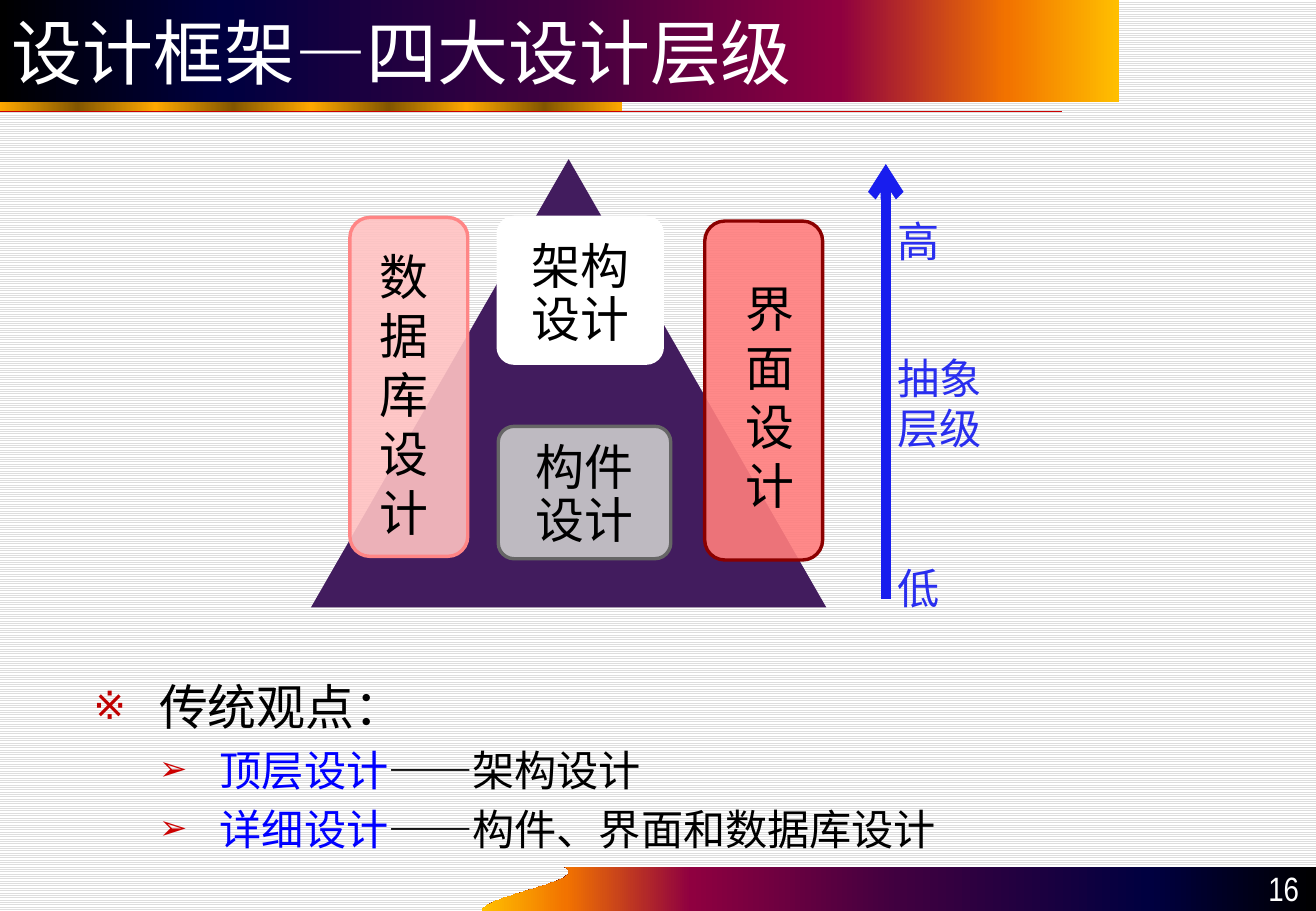
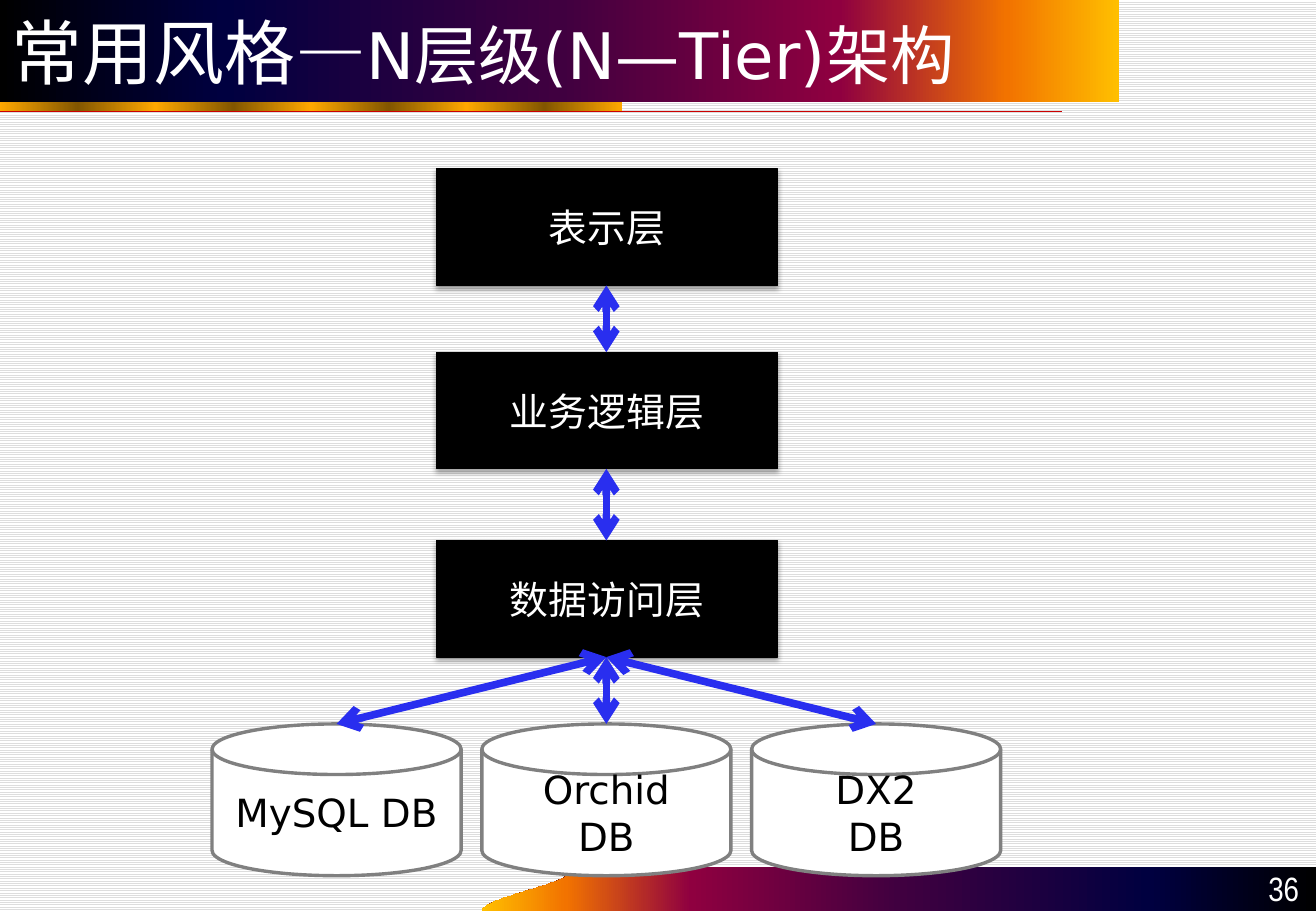
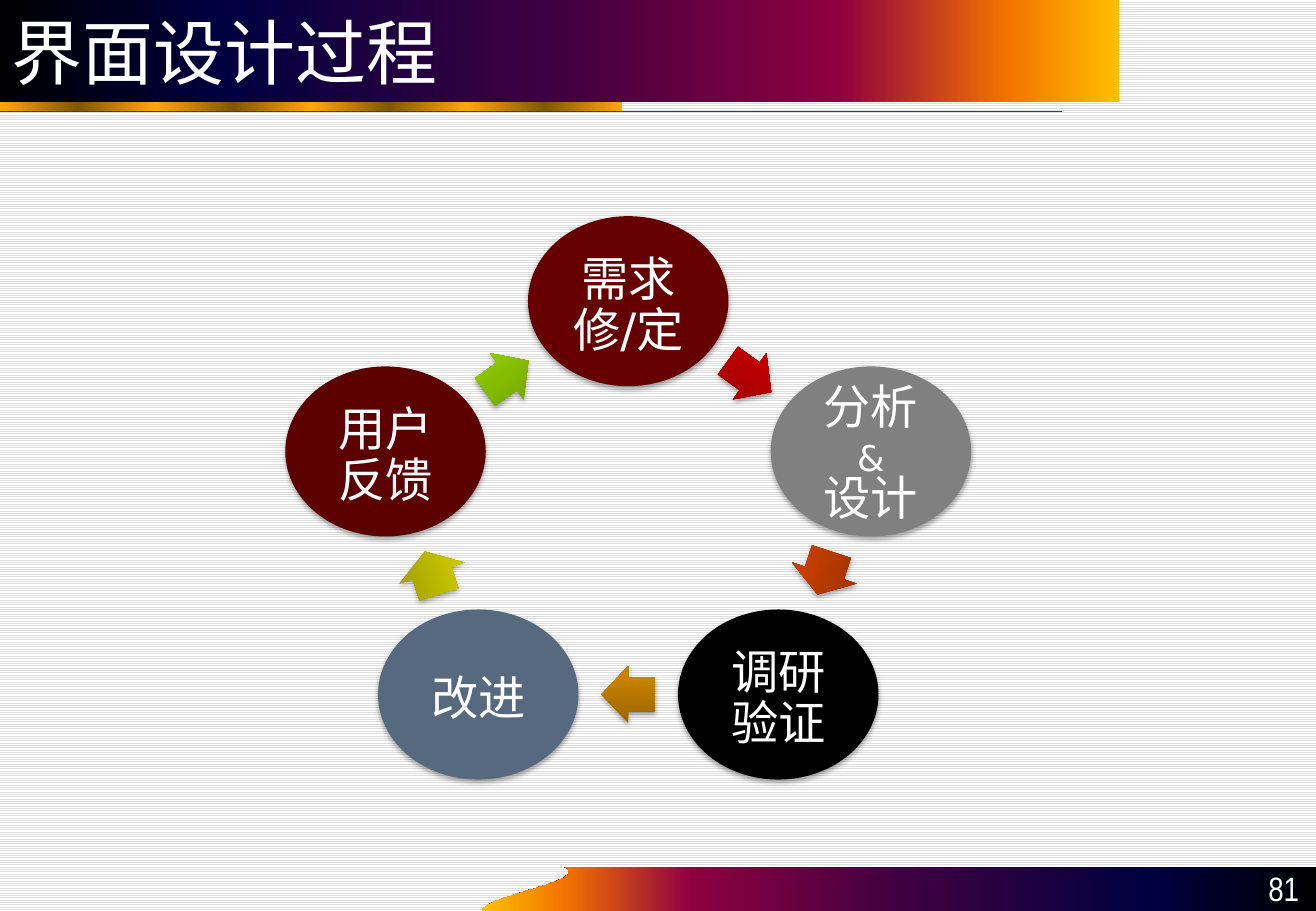
import math

import pptx
import pptx.dml.color
import pptx.enum.dml
import pptx.enum.shapes
import pptx.enum.text
import pptx.oxml
import pptx.oxml.ns
import pptx.util

SHAPE = pptx.enum.shapes.MSO_SHAPE
ALIGN = pptx.enum.text.PP_ALIGN
ANCHOR = pptx.enum.text.MSO_ANCHOR
qn = pptx.oxml.ns.qn

# ---- Shared look: 100 px to the inch ----
EMU_PER_PX = 9144
WIDTH, HEIGHT = 1083, 750
CJK, SANS, NARROW = "Noto Sans CJK SC", "DejaVu Sans", "Arial Narrow"
COLORS = {
    "white": "FFFFFF", "black": "000000", "stripe": "DDDDDD", "rule": "CC0000",
    "gold": "FFA800", "bronze": "825600", "triangle": "421C5E",
    "silver": "CCCCCC", "dark grey": "666666", "grey": "808080",
    "pink": "FFC2C2", "pink edge": "FF8585", "rose": "FF7D7D", "rose edge": "8B0000",
    "axis": "181DEE", "arrow": "292EEF", "term": "0000FF", "mark": "C00000",
    "maroon": "660000", "wine": "5C0000", "slate": "57697E",
}
BAND = [(0, "000000"), (20, "000040"), (50, "400040"),
        (75, "8F0040"), (90, "F27300"), (100, "FFBF00")]
STRIP = [(12.5 * step, COLORS["bronze" if step % 2 else "gold"]) for step in range(9)]
FOOTER_CURVE = [(397, 750), (397, 738), (487, 725), (465, 714)]

# ---- Slide 1 content ----
LEVELS_TITLE = [[("设计框架—四大设计层级", {})]]
# text, box, fill, opacity, line, corner, leading, insets
DESIGN_BLOCKS = [
    ("架构\n设计", (410, 179, 135, 120), "white", 100, "white", 0.11, 31, (5, 12, 5, 5)),
    ("构件\n设计", (410, 351, 142, 109), "silver", 90, "dark grey", 0.12, 31, (5, 10, 5, 5)),
    ("数\n据\n库\n设\n计", (288, 179, 97, 279), "pink", 90, "pink edge", 0.17, 35, (5, 16, 13, 5)),
    ("界\n面\n设\n计", (580, 182, 97, 279), "rose", 90, "rose edge", 0.17, 35, (15, 14, 5, 5)),
]
AXIS_LABELS = [("高", 172, 52), ("抽象\n层级", 285, 94), ("低", 458, 52)]
VIEWPOINTS = [
    [("传统观点：", {"size": 29})],
    [("顶层设计", {"color": "term"}), ("——架构设计", {})],
    [("详细设计", {"color": "term"}), ("——构件、界面和数据库设计", {})],
]
# bullet, colour, left margin, hanging indent
BULLETS = [("※", "mark", 54, 54)] + [("➢", "rule", 104, 50)] * 2

# ---- Slide 2 content ----
TIERS_TITLE = [[("常用风格—", {}), ("N层级(N—Tier)架构", {"size": 38})]]
TIERS = [("表示层", 139), ("业务逻辑层", 290), ("数据访问层", 445)]
DATABASES = ["MySQL DB", "Orchid\nDB", "DX2\nDB"]

# ---- Slide 3 content ----
PROCESS_TITLE = [[("界面设计过程", {})]]
SLASH = {"latin": SANS}
# lines, fill, leading, following arrow's gradient
STEPS = [
    ([[("需求", {})], [("修", {}), ("/", SLASH), ("定", {})]], "maroon", 30,
     ("980000", "C60000", "C70000")),
    ([[("分析", {})], [("&", {"latin": SANS, "size": 21})], [("设计", {})]], "grey", 27,
     ("9A3100", "C84000", "C94100")),
    ([[("调研", {})], [("验证", {})]], "black", 30, ("9A6500", "C98300", "CA8300")),
    ([[("改进", {})]], "slate", 30, ("9D9900", "CBC600", "CCC700")),
    ([[("用户", {})], [("反馈", {})]], "wine", 30, ("6E9D00", "8FCC00", "8FCD00")),
]


# ---- Helpers ----
def px(value):
    return pptx.util.Emu(round(value * EMU_PER_PX))


def rgb(name):
    return pptx.dml.color.RGBColor.from_string(COLORS[name])


def element(tag, **attributes):
    node = pptx.oxml.parse_xml(f"<a:{tag} {pptx.oxml.ns.nsdecls('a')}/>")
    for name, value in attributes.items():
        node.set(name, str(value))
    return node


def tint(value, opacity=100):
    node = element("srgbClr", val=value)
    if opacity < 100:
        node.append(element("alpha", val=opacity * 1000))
    return node


def lines_of(text):
    return [[(line, {})] for line in text.split("\n")]


def write(shape, lines, size, color="black", latin=CJK, align=ALIGN.LEFT,
          anchor=ANCHOR.MIDDLE, insets=(10, 5, 10, 5), leading=None, wrap=True):
    frame = shape.text_frame
    settings = {"word_wrap": wrap, "vertical_anchor": anchor}
    for side, inset in zip(("left", "top", "right", "bottom"), insets):
        settings["margin_" + side] = px(inset)
    for name, value in settings.items():
        setattr(frame, name, value)
    for index, line in enumerate(lines):
        para = frame.add_paragraph() if index else frame.paragraphs[0]
        para.alignment = align
        if leading:
            para.line_spacing = pptx.util.Pt(leading)
        for text, changes in line:
            look = {"size": size, "color": color, "latin": latin, **changes}
            span = para.add_run()
            span.text = text
            span.font.size = pptx.util.Pt(look["size"])
            span.font.color.rgb = rgb(look["color"])
            span.font.name = look["latin"]
            span._r.get_or_add_rPr().append(element("ea", typeface=CJK))
    return frame


def finish(shape, fill=None, opacity=100, line=None, width=2, shadow=False):
    if fill:
        shape.fill.solid()
        shape.fill.fore_color.rgb = rgb(fill)
        if opacity < 100:
            color = shape._element.spPr.find(qn("a:solidFill"))[0]
            color.append(element("alpha", val=opacity * 1000))
    if line:
        shape.line.color.rgb = rgb(line)
        shape.line.width = pptx.util.Pt(width)
    else:
        shape.line.fill.background()
    shape.shadow.inherit = False
    if shadow:
        outer = element("outerShdw", blurRad=39400, dist=22900, dir=5400000, rotWithShape=0)
        outer.append(tint(COLORS["black"], 35))
        shape._element.spPr.find(qn("a:effectLst")).append(outer)
    return shape


def shade(shape, stops, angle):
    shape.fill.gradient()
    gradient = shape._element.spPr.find(qn("a:gradFill"))
    stop_list = gradient.find(qn("a:gsLst"))
    for old_stop in list(stop_list):
        stop_list.remove(old_stop)
    for position, color in stops:
        stop = element("gs", pos=round(position * 1000))
        stop.append(tint(color))
        stop_list.append(stop)
    gradient.find(qn("a:lin")).set("ang", str(angle * 60000))


def add_shape(page, kind, box, **look):
    return finish(page.shapes.add_shape(kind, *map(px, box)), **look)


def add_text(page, box, lines, size, **look):
    return write(page.shapes.add_textbox(*map(px, box)), lines, size, **look)


def add_line(page, start, end, color, width, ends=()):
    line = page.shapes.add_connector(
        pptx.enum.shapes.MSO_CONNECTOR.STRAIGHT, *map(px, start + end))
    line.line.color.rgb = rgb(color)
    line.line.width = pptx.util.Pt(width)
    for tag in ends:
        line.line._get_or_add_ln().append(element(tag, type="arrow"))
    line._element.spPr.append(element("effectLst"))


def curve(points, steps=24):
    for step in range(steps + 1):
        t = step / steps
        weights = [math.comb(3, k) * (1 - t) ** (3 - k) * t ** k for k in range(4)]
        yield tuple(sum(w * p[axis] for w, p in zip(weights, points)) for axis in (0, 1))


def add_page(deck, title, number):
    page = deck.slides.add_slide(deck.slide_layouts[6])
    # Footer band with a curved left end
    outline = list(curve(FOOTER_CURVE)) + [(WIDTH, 714), (WIDTH, HEIGHT)]
    builder = page.shapes.build_freeform(*outline[0], scale=EMU_PER_PX)
    builder.add_line_segments(outline[1:], close=True)
    shade(finish(builder.convert_to_shape()), BAND, 180)
    # Gold strip, red rule and title band
    shade(add_shape(page, SHAPE.RECTANGLE, (0, 76, 512, 16)), STRIP, 0)
    add_line(page, (0, 92), (874, 92), "rule", 0.75)
    band = add_shape(page, SHAPE.RECTANGLE, (0, 0, 921, 84))
    shade(band, BAND, 0)
    write(band, title, 42, color="white", latin=SANS)
    # Page number
    add_text(page, (983, 713, 96, 40), lines_of(number), 20, color="white",
             latin=NARROW, align=ALIGN.RIGHT, anchor=ANCHOR.BOTTOM)
    return page


# ---- Slides ----
def build_levels(deck):
    page = add_page(deck, LEVELS_TITLE, "16")
    frame = add_text(page, (67, 548, 948, 150), VIEWPOINTS, 25,
                     anchor=ANCHOR.TOP, insets=(10, 9, 10, 5))
    for index, (para, bullet) in enumerate(zip(frame.paragraphs, BULLETS)):
        mark, color, margin, hanging = bullet
        properties = para._p.get_or_add_pPr()
        properties.set("marL", str(px(margin)))
        properties.set("indent", str(-px(hanging)))
        bullet_color = element("buClr")
        bullet_color.append(tint(COLORS[color]))
        for node in (bullet_color, element("buSzPct", val=80000),
                     element("buFont", typeface=SANS), element("buChar", char=mark)):
            properties.append(node)
        para.line_spacing = pptx.util.Pt(30 if index else 35)
        if index:
            para.space_before = pptx.util.Pt(5)

    # Pyramid and its four design blocks
    add_shape(page, SHAPE.ISOSCELES_TRIANGLE, (256, 131, 424, 369), fill="triangle")
    for text, box, fill, opacity, line, corner, leading, insets in DESIGN_BLOCKS:
        block = add_shape(page, SHAPE.ROUNDED_RECTANGLE, box,
                          fill=fill, opacity=opacity, line=line)
        block.adjustments[0] = corner
        write(block, lines_of(text), 29, align=ALIGN.CENTER, insets=insets, leading=leading)

    # Abstraction axis
    add_line(page, (729, 493), (729, 135), "axis", 6, ["tailEnd"])
    for text, top, height in AXIS_LABELS:
        add_text(page, (729, top, 90, height), lines_of(text), 25, color="arrow",
                 anchor=ANCHOR.TOP, leading=30, wrap=False)


def build_tiers(deck):
    page = add_page(deck, TIERS_TITLE, "36")
    left, width, height = 359, 281, 96
    middle = left + width // 2
    for text, top in TIERS:
        tier = add_shape(page, SHAPE.RECTANGLE, (left, top, width, height),
                         fill="black", line="black", width=0.75, shadow=True)
        write(tier, lines_of(text), 23, color="white", align=ALIGN.CENTER)
    links = [((middle, upper + height), (middle, lower))
             for (_, upper), (_, lower) in zip(TIERS, TIERS[1:])]

    disk_top, disk_width, pitch = 596, 205, 222
    for index, text in enumerate(DATABASES):
        center = middle + (index - 1) * pitch
        disk = add_shape(page, SHAPE.FLOWCHART_MAGNETIC_DISK,
                         (center - disk_width / 2, disk_top, disk_width, 125),
                         fill="white", line="grey")
        write(disk, lines_of(text), 23, latin=SANS, align=ALIGN.CENTER)
        links.append(((middle, TIERS[-1][1] + height), (center, disk_top)))
    for start, end in links:
        add_line(page, start, end, "arrow", 4.5, ["headEnd", "tailEnd"])


def build_process(deck):
    page = add_page(deck, PROCESS_TITLE, "81")
    center_x, center_y, radius_x, radius_y = 517, 427, 210, 179
    width, height = 165, 140
    turn = 360 / len(STEPS)
    centers = [(center_x + radius_x * math.sin(math.radians(turn * index)),
                center_y - radius_y * math.cos(math.radians(turn * index)))
               for index in range(len(STEPS))]
    for index, (lines, fill, leading, tones) in enumerate(STEPS):
        x, y = centers[index]
        step = add_shape(page, SHAPE.OVAL, (x - width / 2, y - height / 2, width, height),
                         fill=fill, shadow=True)
        write(step, lines, 28, color="white", align=ALIGN.CENTER,
              insets=(0, 8, 0, 0), leading=leading, wrap=False)

        # Arrow halfway to the next step, kept upright so its shading stays below
        next_x, next_y = centers[(index + 1) % len(STEPS)]
        length, breadth = (37, 56) if index in (1, 3) else (44, 47)
        angle = turn * (index + 0.5)
        leftward = 90 < angle < 270
        arrow = add_shape(page, SHAPE.LEFT_ARROW if leftward else SHAPE.RIGHT_ARROW,
                          ((x + next_x - length) / 2, (y + next_y - breadth) / 2,
                           length, breadth), shadow=True)
        arrow.rotation = angle - 180 if leftward else angle
        arrow.adjustments[0], arrow.adjustments[1] = 0.6, 0.5
        shade(arrow, zip((0, 80, 100), tones), 270)


def main():
    deck = pptx.Presentation()
    deck.slide_width, deck.slide_height = px(WIDTH), px(HEIGHT)
    backdrop = deck.slide_master.background.fill
    backdrop.patterned()
    backdrop.pattern = pptx.enum.dml.MSO_PATTERN.LIGHT_HORIZONTAL
    backdrop.fore_color.rgb = rgb("stripe")
    backdrop.back_color.rgb = rgb("white")
    for build in (build_levels, build_tiers, build_process):
        build(deck)
    deck.save("out.pptx")


if __name__ == "__main__":
    main()
